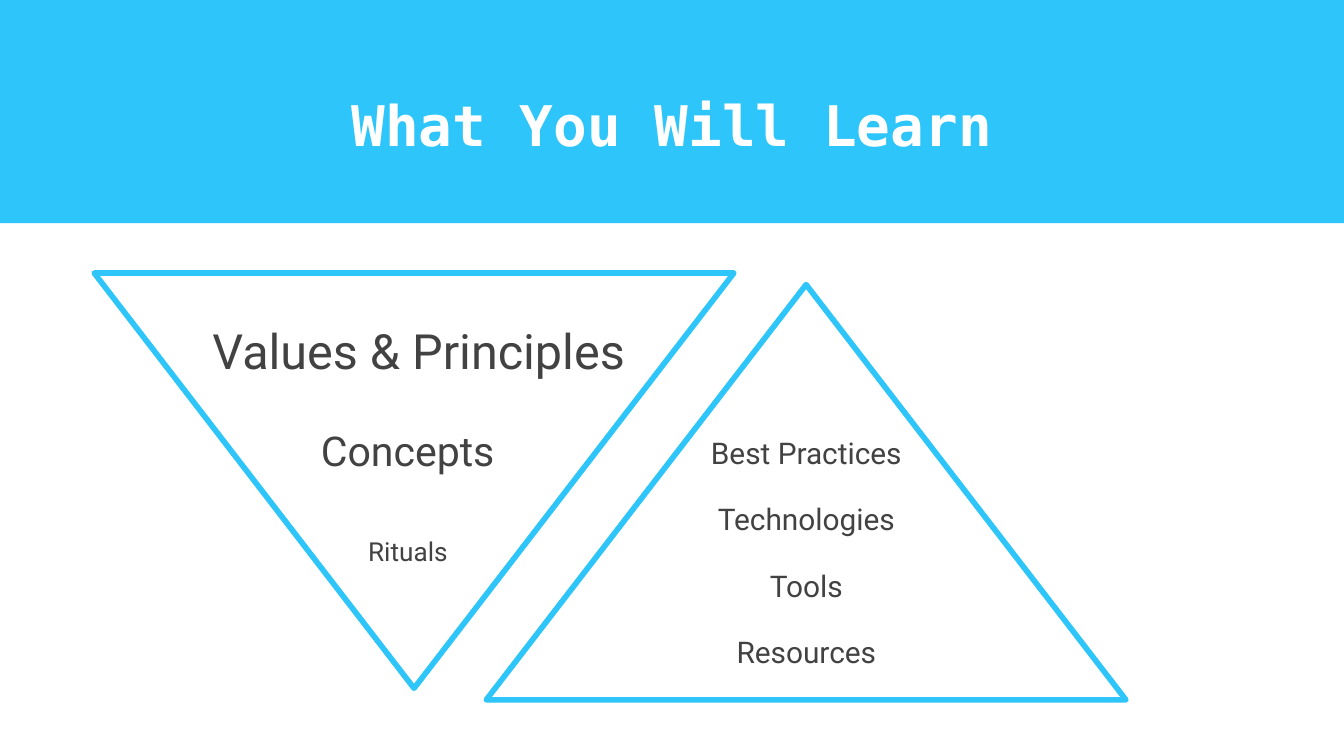
from dataclasses import dataclass

from pptx import Presentation
from pptx.dml.color import RGBColor
from pptx.enum.shapes import MSO_SHAPE
from pptx.enum.text import MSO_ANCHOR, PP_ALIGN
from pptx.slide import Slide
from pptx.util import Cm, Pt

RECTANGLE, TRIANGLE = MSO_SHAPE.RECTANGLE, MSO_SHAPE.ISOSCELES_TRIANGLE
MIDDLE, CENTER = MSO_ANCHOR.MIDDLE, PP_ALIGN.CENTER


@dataclass(frozen=True)
class Theme:
    sky: RGBColor = RGBColor.from_string("2DC5FA")
    white: RGBColor = RGBColor.from_string("FFFFFF")
    ink: RGBColor = RGBColor.from_string("424242")
    title_font: str = "DejaVu Sans Mono"
    body_font: str = "Roboto"
    title_size: int = 30
    value_sizes: tuple[int, ...] = (26, 22, 14)
    practice_size: int = 16
    outline: float = 3


@dataclass(frozen=True)
class Box:
    """Position and size in centimetres."""
    left: float
    top: float
    width: float
    height: float

    def lengths(self) -> tuple[Cm, ...]:
        return Cm(self.left), Cm(self.top), Cm(self.width), Cm(self.height)


@dataclass(frozen=True)
class Label:
    text: str
    box: Box
    size: int
    font: str
    color: RGBColor
    bold: bool = False
    indent: float = 0
    space_after: float = 0


THEME = Theme()
SLIDE = Box(0, 0, 25.4, 14.29)
LABEL_HEIGHT = 1.78
TRIANGLE_SIZE = (12.09, 7.85)


def add_banner(s: Slide, box: Box) -> None:
    sp = s.shapes.add_shape(RECTANGLE, *box.lengths())
    sp.shadow.inherit = False
    sp.fill.solid()
    sp.fill.fore_color.rgb = THEME.sky
    sp.line.fill.background()


def add_triangle(s: Slide, left: float, top: float, rotation: float = 0) -> None:
    sp = s.shapes.add_shape(TRIANGLE, *Box(left, top, *TRIANGLE_SIZE).lengths())
    sp.shadow.inherit = False
    sp.rotation = rotation
    sp.fill.background()
    sp.line.color.rgb = THEME.sky
    sp.line.width = Pt(THEME.outline)


def add_label(s: Slide, label: Label) -> None:
    tf = s.shapes.add_textbox(*label.box.lengths()).text_frame
    frame_format = {"word_wrap": True, "vertical_anchor": MIDDLE}
    for side in ("left", "right", "top", "bottom"):
        frame_format[f"margin_{side}"] = Cm(0.25)
    for name, value in frame_format.items():
        setattr(tf, name, value)

    p = tf.paragraphs[0]
    p.alignment = CENTER
    p.space_after = Pt(label.space_after)
    p._p.get_or_add_pPr().set("indent", str(Cm(label.indent)))
    r = p.add_run()
    r.text = label.text
    for name, value in {"name": label.font, "size": Pt(label.size),
                        "bold": label.bold}.items():
        setattr(r.font, name, value)
    r.font.color.rgb = label.color


def main() -> None:
    prs = Presentation()
    prs.slide_width, prs.slide_height = Cm(SLIDE.width), Cm(SLIDE.height)
    s = prs.slides.add_slide(prs.slide_layouts[6])

    # Banner and the two facing triangles
    add_banner(s, Box(0, 0, SLIDE.width, 4.22))
    add_triangle(s, 9.19, 5.38)
    add_triangle(s, 1.78, 5.16, rotation=180)

    # Title
    add_label(s, Label("What You Will Learn", Box(1.19, 0.89, 23.01, 2.9),
                       THEME.title_size, THEME.title_font, THEME.white, bold=True))

    # Values narrow towards the tip of the left triangle
    values = (("Values & Principles", 2.84, 9.91),
              ("Concepts", 4.19, 6.78),
              ("Rituals", 5.87, 3.43))
    for i, ((text, left, width), size) in enumerate(zip(values, THEME.value_sizes)):
        box = Box(left, 5.72 + 1.9 * i, width, LABEL_HEIGHT)
        add_label(s, Label(text, box, size, THEME.body_font, THEME.ink,
                           indent=0.25, space_after=14))

    # Practices stacked in the right triangle
    practices = ("Best Practices", "Technologies", "Tools", "Resources")
    for i, text in enumerate(practices):
        box = Box(12.24, 7.67 + 1.25 * i, 6, LABEL_HEIGHT)
        add_label(s, Label(text, box, THEME.practice_size, THEME.body_font, THEME.ink))

    prs.save("out.pptx")


if __name__ == "__main__":
    main()
